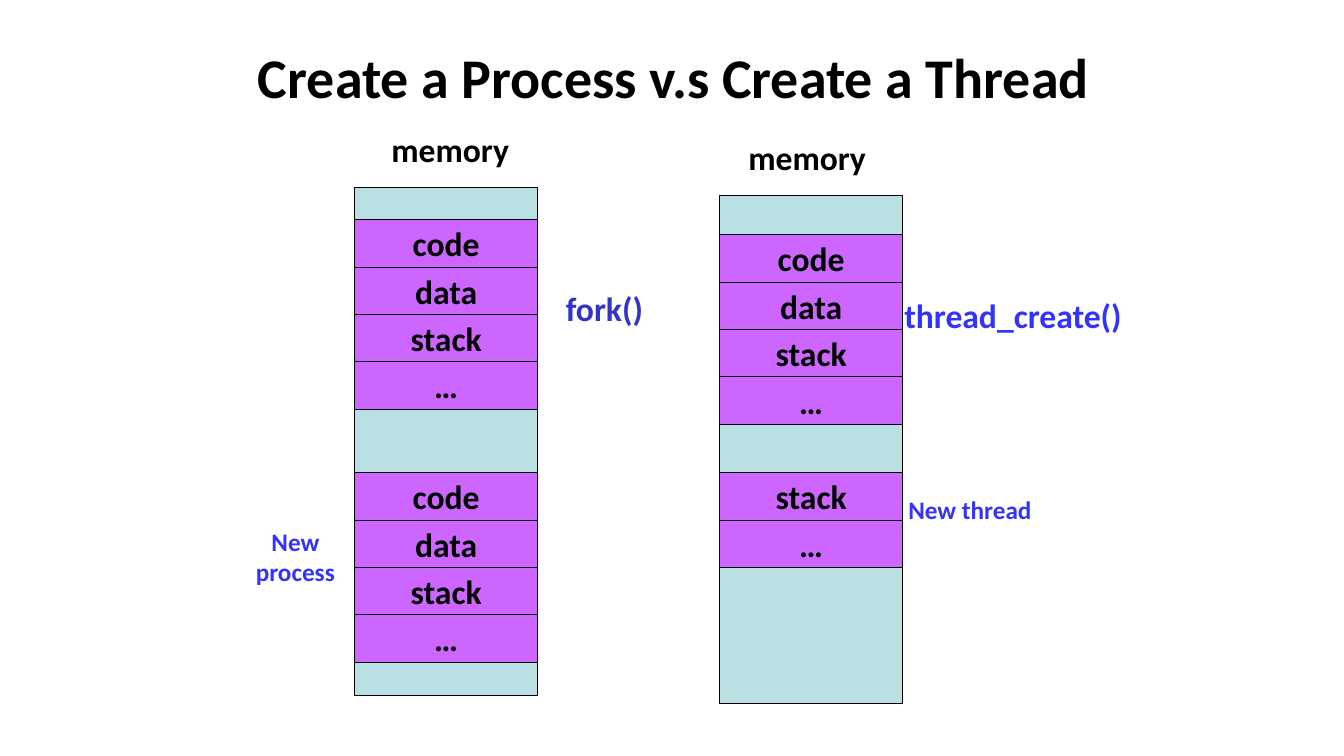
from pptx import Presentation
from pptx.dml.color import RGBColor
from pptx.enum.shapes import MSO_SHAPE
from pptx.enum.text import MSO_ANCHOR, MSO_AUTO_SIZE, PP_ALIGN
from pptx.util import Inches, Pt

TITLE = "Create a Process v.s Create a Thread"
MEMORIES = [
    {"left": 3.52, "top": 1.86, "blocks": [
        (2.18, ["code", "data", "stack", "…"]),
        (4.69, ["code", "data", "stack", "…"]),
    ]},
    {"left": 7.14, "top": 1.94, "blocks": [
        (2.33, ["code", "data", "stack", "…"]),
        (4.69, ["stack", "…"]),
    ]},
]
LABELS = [
    ("memory", (3.6, 1.23, 1.73, 0.5), "heading", True),
    ("memory", (7.14, 1.31, 1.73, 0.5), "heading", True),
    ("fork()", (5.17, 2.81, 1.65, 0.5), "fork", True),
    ("New process", (2.18, 5.17, 1.5, 0.7), "note", True),
    ("thread_create()", (8.87, 2.88, 2.38, 0.5), "call", False),
    ("New thread", (8.87, 4.85, 1.5, 0.4), "note", True),
]
MEMORY_WIDTH, MEMORY_HEIGHT, SEGMENT_HEIGHT = 1.81, 5.04, 0.47

THEME = {
    "font": "Calibri",
    "line": "000000",
    "memory": "BBE0E3",
    "segment": "CC66FF",
    "text": {
        "title": (40, "000000"),
        "heading": (24, "000000"),
        "fork": (24, "3333CC"),
        "call": (24, "3333FF"),
        "note": (18, "3333FF"),
    },
}
WRAPPED = {"word_wrap": True, "auto_size": MSO_AUTO_SIZE.NONE,
           "margin_left": Inches(0.12), "margin_right": Inches(0.12)}
UNWRAPPED = {"word_wrap": False, "auto_size": MSO_AUTO_SIZE.NONE}
CENTRED = {"word_wrap": False, "vertical_anchor": MSO_ANCHOR.MIDDLE}
TITLE_FRAME = {"word_wrap": True, "vertical_anchor": MSO_ANCHOR.MIDDLE}


def apply(target, values):
    for name, value in values.items():
        setattr(target, name, value)


def write(holder, words, style, frame_format, align=PP_ALIGN.CENTER):
    frame = holder.text_frame
    frame.text = words
    apply(frame, frame_format)
    paragraph = frame.paragraphs[0]
    paragraph.alignment = align
    size, color = THEME["text"][style]
    font = paragraph.runs[0].font
    apply(font, {"name": THEME["font"], "size": Pt(size), "bold": True})
    font.color.rgb = RGBColor.from_string(color)


def add_box(shapes, place, fill):
    box = shapes.add_shape(MSO_SHAPE.RECTANGLE, *map(Inches, place))
    box.shadow.inherit = False
    box.fill.solid()
    box.fill.fore_color.rgb = RGBColor.from_string(THEME[fill])
    box.line.color.rgb = RGBColor.from_string(THEME["line"])
    box.line.width = Pt(0.75)
    return box


def add_memory(shapes, memory):
    left = memory["left"]
    add_box(shapes, (left, memory["top"], MEMORY_WIDTH, MEMORY_HEIGHT), "memory")
    for top, segments in memory["blocks"]:
        block = shapes.add_group_shape()
        for row, segment in enumerate(segments):
            place = (left, top + row * SEGMENT_HEIGHT, MEMORY_WIDTH, SEGMENT_HEIGHT)
            write(add_box(block.shapes, place, "segment"), segment, "heading", CENTRED)


def main():
    deck = Presentation()
    apply(deck, {"slide_width": Inches(13.33), "slide_height": Inches(7.5)})
    slide = deck.slides.add_slide(deck.slide_layouts[5])
    title = slide.shapes.title
    apply(title, {"left": Inches(0.68), "top": Inches(0.13),
                  "width": Inches(12), "height": Inches(1.25)})
    write(title, TITLE, "title", TITLE_FRAME)
    for memory in MEMORIES:
        add_memory(slide.shapes, memory)
    for words, place, style, wraps in LABELS:
        label = slide.shapes.add_textbox(*map(Inches, place))
        write(label, words, style, WRAPPED if wraps else UNWRAPPED,
              PP_ALIGN.CENTER if wraps else PP_ALIGN.LEFT)
    deck.save("out.pptx")


if __name__ == "__main__":
    main()
